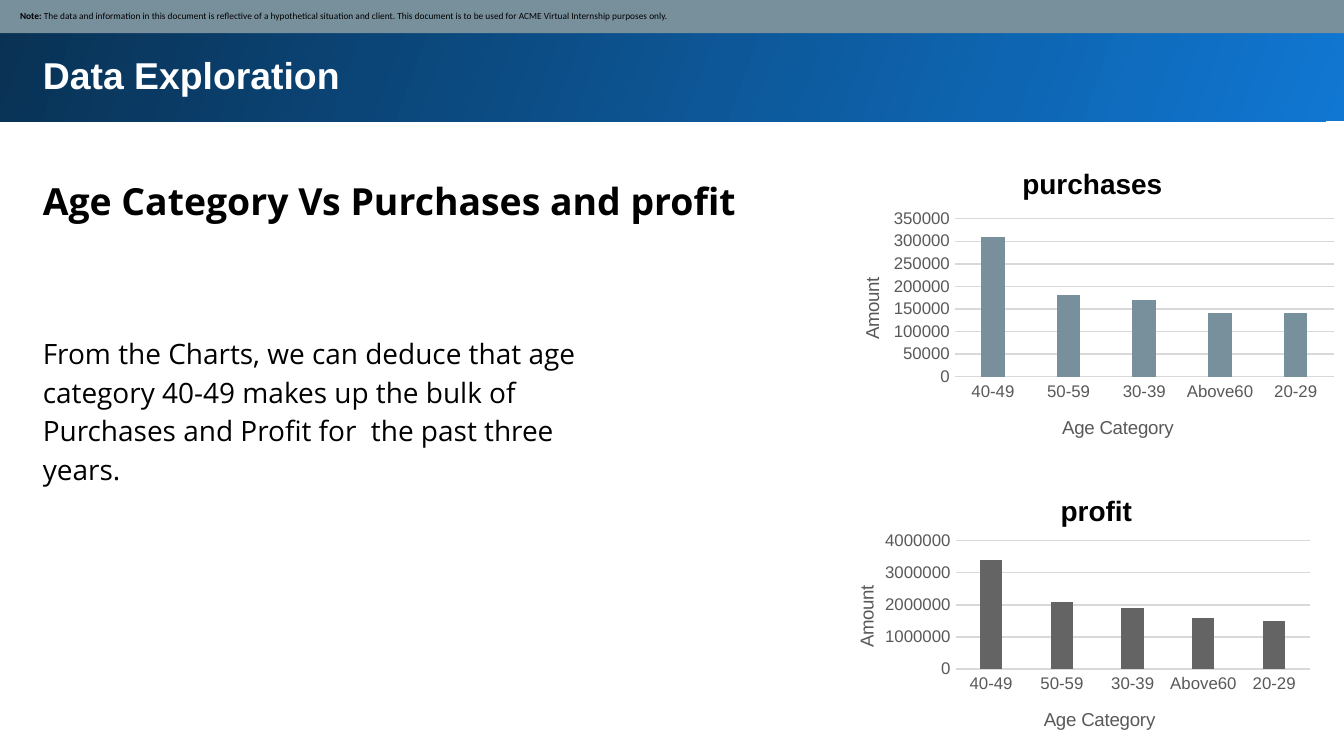
from lxml import etree
from pptx import Presentation
from pptx.chart.data import CategoryChartData
from pptx.dml.color import RGBColor
from pptx.enum.chart import XL_CHART_TYPE, XL_TICK_MARK
from pptx.enum.shapes import MSO_SHAPE
from pptx.enum.text import MSO_ANCHOR, PP_ALIGN
from pptx.oxml.ns import qn
from pptx.util import Cm, Pt

TITLE = "Data Exploration"
HEADING = "Age Category Vs Purchases and profit"
BODY = ("From the Charts, we can deduce that age category 40-49 makes up "
        "the bulk of Purchases and Profit for  the past three years.")
NOTE = ("Note: ", "The data and information in this document is reflective of a "
        "hypothetical situation and client. This document is to be used for "
        "ACME Virtual Internship purposes only.")
AGES = ["40-49", "50-59", "30-39", "Above60", "20-29"]
# Places inside a chart are shares of its width and height.
CHARTS = [
    dict(name="purchases", color="78909C", box=(15.6, 2.67, 9.8, 6.1),
         vals=[310000, 180000, 170000, 140000, 140000], top=350000, step=50000,
         plot=(0.25, 0.24, 0.73, 0.49), title=(0.37, 0.06),
         cat=(0.45, 0.84), val=(0.06, 0.41)),
    dict(name="profit", color="646464", box=(15.52, 8.79, 9.42, 5.51),
         vals=[3400000, 2100000, 1900000, 1600000, 1500000], top=4000000, step=1000000,
         plot=(0.27, 0.26, 0.71, 0.44), title=(0.47, 0.08),
         cat=(0.44, 0.82), val=(0.06, 0.4)),
]
LEFT, WIDE = 0.56, 23.8
BLACK, GREY, PALE = "000000", "595959", "D9D9D9"


def rgb(code):
    """Turn a hex string into a colour."""
    return RGBColor.from_string(code)


def style(font, size, color=BLACK, face="Arial", bold=False):
    """Set the look of a font."""
    font.size, font.name, font.bold = Pt(size), face, bold
    font.color.rgb = rgb(color)


def write(shape, text, size, color=BLACK, face="Open Sans", bold=False, space=None):
    """Fill a shape with one paragraph."""
    frame = shape.text_frame
    frame.word_wrap = True
    frame.vertical_anchor = MSO_ANCHOR.TOP
    frame.margin_left = frame.margin_right = Cm(0.25)
    frame.margin_top = frame.margin_bottom = Cm(0.25)
    para = frame.paragraphs[0]
    para.text, para.alignment, para.line_spacing = text, PP_ALIGN.LEFT, space
    style(para.font, size, color, face, bold)


def add_band(shapes, *box):
    """Add a plain rectangle without line or shadow."""
    band = shapes.add_shape(MSO_SHAPE.RECTANGLE, *map(Cm, box))
    band.shadow.inherit = False
    band.line.fill.background()
    return band


def pin(part, place, inner=False):
    """Fix the place of a chart part by a manual layout."""
    for old in part.findall(qn("c:layout")):
        part.remove(old)
    layout = etree.Element(qn("c:layout"))
    manual = etree.SubElement(layout, qn("c:manualLayout"))
    pairs = [("layoutTarget", "inner")] if inner else []
    pairs += [("xMode", "edge"), ("yMode", "edge")] + list(zip("xywh", place))
    for tag, val in pairs:
        etree.SubElement(manual, qn("c:" + tag)).set("val", str(val))
    text = part.find(qn("c:tx"))
    if text is None:
        part.insert(0, layout)
    else:
        text.addnext(layout)


def label(owner, text, size, color, bold, place):
    """Give a chart or an axis its title."""
    title = owner.chart_title if hasattr(owner, "chart_title") else owner.axis_title
    para = title.text_frame.paragraphs[0]
    para.text = text
    style(para.font, size, color, bold=bold)
    pin(para._p.getparent().getparent().getparent(), place)


def add_bars(shapes, item):
    """Add one column chart."""
    data = CategoryChartData()
    data.categories = AGES
    data.add_series(item["name"], item["vals"])
    kind = XL_CHART_TYPE.COLUMN_CLUSTERED
    chart = shapes.add_chart(kind, *map(Cm, item["box"]), data).chart
    chart.has_legend = False
    style(chart.font, 10)
    label(chart, item["name"], 15, BLACK, True, item["title"])
    plot = chart.plots[0]
    plot.gap_width, plot.overlap, plot.vary_by_categories = 219, -27, False
    fill = plot.series[0].format.fill
    fill.solid()
    fill.fore_color.rgb = rgb(item["color"])
    cats, vals = chart.category_axis, chart.value_axis
    for axis, text, key in ((cats, "Age Category", "cat"), (vals, "Amount", "val")):
        label(axis, text, 10, GREY, False, item[key])
        style(axis.tick_labels.font, 9, GREY)
        axis.major_tick_mark = axis.minor_tick_mark = XL_TICK_MARK.NONE
    vals.axis_title.text_frame._txBody.bodyPr.set("rot", "-5400000")
    vals.minimum_scale, vals.maximum_scale = 0, item["top"]
    vals.major_unit = item["step"]
    vals.format.line.fill.background()
    for line in (cats.format.line, vals.major_gridlines.format.line):
        line.color.rgb, line.width = rgb(PALE), Pt(0.75)
    pin(chart.element.find(".//" + qn("c:plotArea")), item["plot"], True)


deck = Presentation()
deck.slide_width, deck.slide_height = Cm(25.4), Cm(14.29)
slide = deck.slides.add_slide(deck.slide_layouts[5])
shapes = slide.shapes

head = add_band(shapes, -0.05, -0.05, 25.53, 2.34)
head.fill.gradient()
head.fill.gradient_angle = 160
for stop, color in zip(head.fill.gradient_stops, ("1077D2", "093153")):
    stop.color.rgb = rgb(color)

title = shapes.title
title.left, title.top, title.width, title.height = map(Cm, (LEFT, 0.74, WIDE, 1.3))
write(title, TITLE, 20, "FFFFFF", "Arial", True)
head.element.addnext(title.element)

for text, box, size, bold in ((HEADING, (LEFT, 3, WIDE, 1.42), 20, True),
                              (BODY, (LEFT, 6.02, 11.48, 2.67), 15, False)):
    write(shapes.add_textbox(*map(Cm, box)), text, size, bold=bold, space=1.15)

strip = add_band(shapes, -0.03, -0.03, 25.48, 0.66)
strip.fill.solid()
strip.fill.fore_color.rgb = rgb("78909C")
write(strip, NOTE[0], 5, face="Calibri")
frame = strip.text_frame
frame.vertical_anchor = MSO_ANCHOR.MIDDLE
frame.margin_left, frame.margin_top, frame.margin_bottom = Cm(0.41), Cm(0.13), Cm(0.13)
para = frame.paragraphs[0]
para.runs[0].font.bold = True
para.add_run().text = NOTE[1]

for item in CHARTS:
    add_bars(shapes, item)
deck.save("out.pptx")
